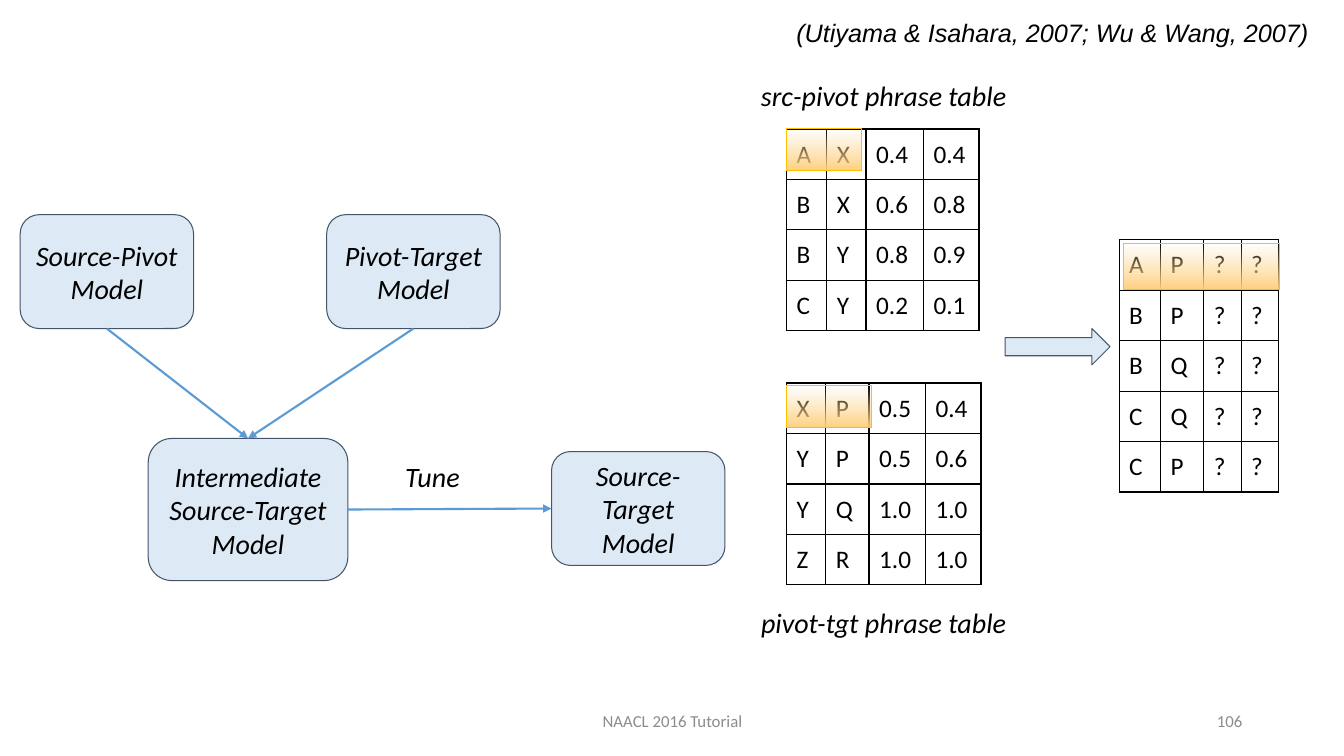
from lxml import etree
from pptx import Presentation
from pptx import util as u
from pptx.dml import color
from pptx.enum import shapes, text
from pptx.oxml import ns

CENTER, RIGHT = text.PP_ALIGN.CENTER, text.PP_ALIGN.RIGHT
MIDDLE = text.MSO_ANCHOR.MIDDLE
BODY = {"name": "Calibri", "size": u.Pt(20), "italic": True}
CITATION = {"name": "Arial", "size": u.Pt(18), "italic": True}
CELL = {"name": "Calibri", "size": u.Pt(18)}
FOOTER = {"name": "Calibri", "size": u.Pt(12)}


def rgb(value):
    return color.RGBColor.from_string(value)


def inches(*lengths):
    return [u.Inches(length) for length in lengths]


def add_child(parent, tag, **attrs):
    return etree.SubElement(parent, ns.qn(tag), attrs)


def set_alpha(fill_xml, percents):
    for clr, percent in zip(fill_xml.iter(ns.qn("a:srgbClr")), percents):
        add_child(clr, "a:alpha", val=str(percent * 1000))


def write(tf, words, fmt, align=None, anchor=None, inset=0.05, ink="000000"):
    tf.word_wrap = True
    tf.vertical_anchor = anchor
    tf.margin_left = tf.margin_right = u.Inches(0.1)
    tf.margin_top = tf.margin_bottom = u.Inches(inset)
    for i, line in enumerate(words.split("\n")):
        p = tf.add_paragraph() if i else tf.paragraphs[0]
        p.alignment = align
        r = p.add_run()
        r.text = line
        r.font.color.rgb = rgb(ink)
        for name, value in fmt.items():
            setattr(r.font, name, value)


def add_label(s, box, words, fmt, **layout):
    tf = s.shapes.add_textbox(*inches(*box)).text_frame
    write(tf, words, fmt, **layout)
    return tf


def outline(sp, ink, width):
    sp.shadow.inherit = False
    sp.line.color.rgb = rgb(ink)
    sp.line.width = u.Pt(width)


def add_pale_shape(s, kind, box):
    sp = s.shapes.add_shape(kind, *inches(*box))
    sp.fill.solid()
    sp.fill.fore_color.rgb = rgb("BDD7EE")
    set_alpha(sp._element.spPr.find(ns.qn("a:solidFill")), [50])
    outline(sp, "44546A", 0.75)
    return sp


def add_model(s, box, words):
    sp = add_pale_shape(s, shapes.MSO_SHAPE.ROUNDED_RECTANGLE, box)
    write(sp.text_frame, words, BODY, align=CENTER, anchor=MIDDLE, inset=0.1)
    return sp


def add_arrow(s, start, start_site, end, end_site):
    cx = s.shapes.add_connector(shapes.MSO_CONNECTOR.STRAIGHT, 0, 0, 0, 0)
    cx.begin_connect(start, start_site)
    cx.end_connect(end, end_site)
    cx.line.color.rgb = rgb("5B9BD5")
    cx.line.width = u.Pt(1.5)
    add_child(cx.line._get_or_add_ln(), "a:tailEnd", type="triangle")
    add_child(cx._element.spPr, "a:effectLst")


def add_highlight(s, box):
    sp = s.shapes.add_shape(shapes.MSO_SHAPE.RECTANGLE, *inches(*box))
    sp.fill.gradient()
    sp.fill.gradient_angle = 270
    for stop, ink in zip(sp.fill.gradient_stops, ("FFDB9E", "FFD07C")):
        stop.color.rgb = rgb(ink)
    set_alpha(sp._element.spPr.find(ns.qn("a:gradFill")), [0, 100])
    outline(sp, "FFC000", 0.5)


def add_borders(cell):
    tcPr = cell._tc.get_or_add_tcPr()
    for i, side in enumerate(("a:lnL", "a:lnR", "a:lnT", "a:lnB")):
        ln = etree.Element(ns.qn(side), w=str(u.Pt(1)))
        add_child(add_child(ln, "a:solidFill"), "a:srgbClr", val="000000")
        tcPr.insert(i, ln)


def add_phrase_table(s, x, y, widths, rows):
    box = inches(x, y, sum(widths), 0.5 * len(rows))
    table = s.shapes.add_table(len(rows), len(widths), *box).table
    table.first_row = table.horz_banding = False
    for column, width in zip(table.columns, widths):
        column.width = u.Inches(width)
    for cell, words in zip(table.iter_cells(), " ".join(rows).split()):
        write(cell.text_frame, words, CELL)
        cell.margin_left = cell.margin_right = u.Inches(0.1)
        cell.margin_top = cell.margin_bottom = u.Inches(0.1)
        cell.fill.background()
        add_borders(cell)


def build_models(s, x, y):
    w, h = 1.72, 1.13
    source_pivot = add_model(s, (x, y, w, h), "Source-Pivot \nModel")
    pivot_target = add_model(s, (x + 3.04, y, w, h), "Pivot-Target\nModel")
    intermediate = add_model(s, (x + 1.27, y + 2.22, 1.98, 1.41),
                             "Intermediate\nSource-Target\nModel")
    tuned = add_model(s, (x + 5.27, y + 2.35, w, h), "Source-Target\nModel")
    add_arrow(s, intermediate, 3, tuned, 1)
    add_label(s, (x + 3.72, y + 2.38, 0.74, 0.44), "Tune", BODY)
    for model in (source_pivot, pivot_target):
        add_arrow(s, model, 2, intermediate, 0)


def build_phrase_tables(s, x, y):
    pivot_y = y + 2.52
    merged_x, merged_y = x + 3.3, y + 1.1
    add_phrase_table(s, merged_x, merged_y, (0.41, 0.43, 0.37, 0.37),
                     ["A P ? ?", "B P ? ?", "B Q ? ?", "C Q ? ?", "C P ? ?"])
    add_phrase_table(s, x, y, (0.4, 0.39, 0.57, 0.55),
                     ["A X 0.4 0.4", "B X 0.6 0.8", "B Y 0.8 0.9", "C Y 0.2 0.1"])
    add_phrase_table(s, x, pivot_y, (0.39, 0.43, 0.56, 0.55),
                     ["X P 0.5 0.4", "Y P 0.5 0.6", "Y Q 1.0 1.0", "Z R 1.0 1.0"])
    for top, words in ((y - 0.6, "src-pivot phrase table"),
                       (y + 4.63, "pivot-tgt phrase table")):
        add_label(s, (x - 0.42, top, 2.77, 0.46), words, BODY,
                  align=CENTER, inset=0.1)
    add_pale_shape(s, shapes.MSO_SHAPE.RIGHT_ARROW, (x + 2.17, y + 1.98, 1.04, 0.36))
    add_highlight(s, (x, y - 0.01, 0.74, 0.42))
    add_highlight(s, (x, pivot_y + 0.02, 0.84, 0.42))
    add_highlight(s, (merged_x + 0.04, merged_y + 0.03, 1.55, 0.46))


def build_citation(s, x, y):
    tf = add_label(s, (x, y, 5.33, 0.4),
                   "(Utiyama & Isahara, 2007; Wu & Wang, 2007)", CITATION)
    tf.word_wrap = False


def build_footer(s, y):
    for x, w, words, align in ((4.42, 4.5, "NAACL 2016 Tutorial", CENTER),
                               (9.42, 3, "106", RIGHT)):
        add_label(s, (x, y, w, 0.4), words, FOOTER, align=align,
                  anchor=MIDDLE, ink="8C8C8C")


def main():
    prs = Presentation()
    prs.slide_width, prs.slide_height = inches(13.33, 7.5)
    s = prs.slides.add_slide(prs.slide_layouts[6])
    build_models(s, 0.2, 2.13)
    build_citation(s, 7.8, 0.12)
    build_phrase_tables(s, 7.8, 1.28)
    build_footer(s, 6.95)
    prs.save("out.pptx")


if __name__ == "__main__":
    main()
